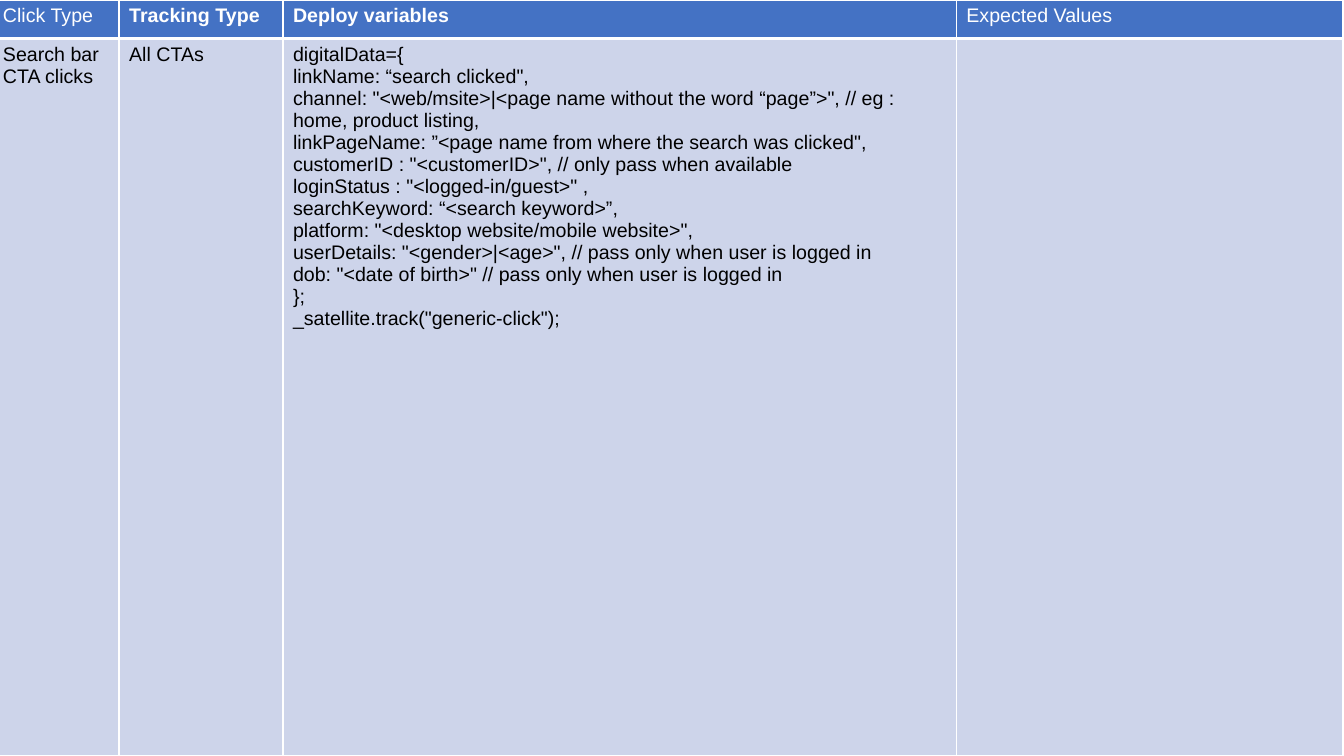
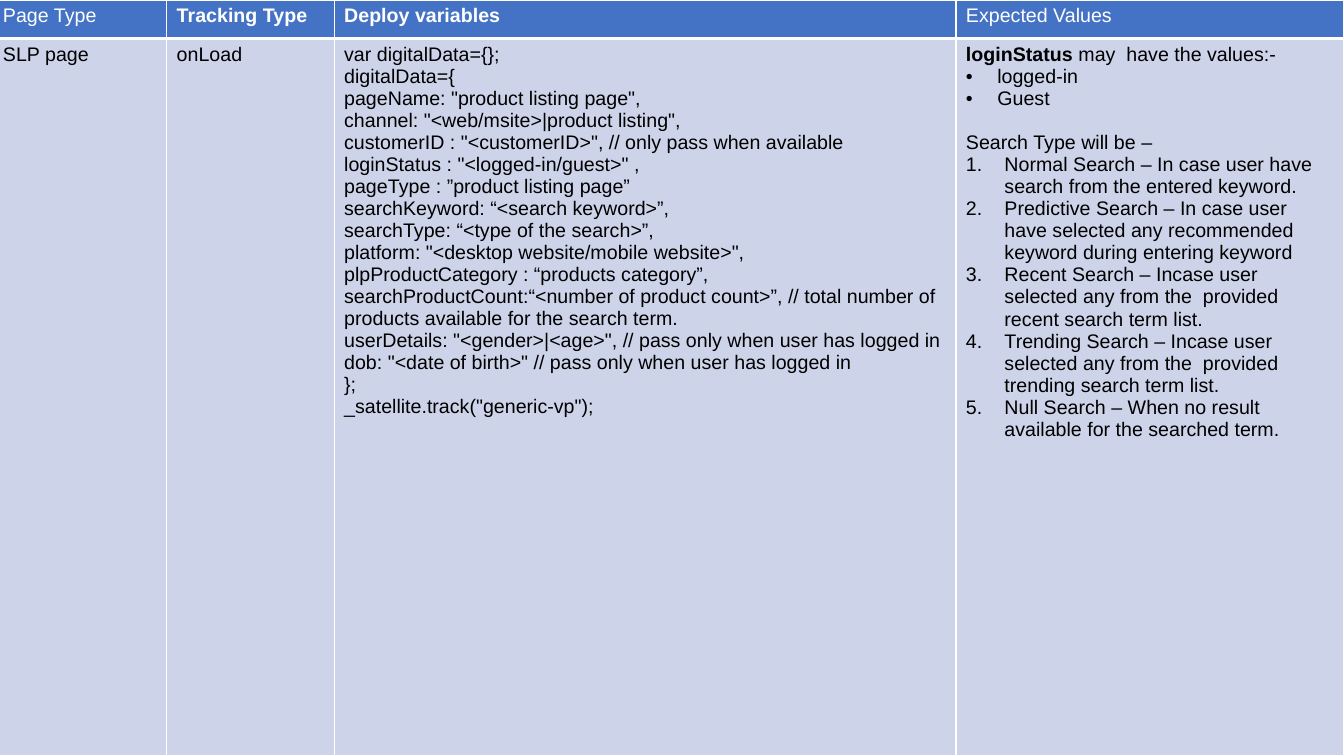
from lxml import etree
from pptx import Presentation
from pptx.dml.color import RGBColor
from pptx.oxml.ns import qn
from pptx.util import Cm, Pt

FONT = "Arial"
TEXT_SIZE = Pt(14)
WHITE, BLACK = "FFFFFF", "000000"
HEADER_BLUE, BODY_BLUE = "4472C4", "CDD4EA"
THIN, THICK = Pt(1), Pt(3)
HEADER_HEIGHT = Cm(0.97)
BLANK_LAYOUT = 6
PLAIN, BULLET, NUMBER, SECTION = "plain", "bullet", "number", "section"
MARKERS = {
    BULLET: (Cm(0.79), "a:buChar", {"char": "•"}),
    NUMBER: (Cm(0.97), "a:buAutoNum", {"type": "arabicPeriod"}),
}

SEARCH_CLICK_CODE = """digitalData={
linkName: “search clicked",
channel: "<web/msite>|<page name without the word “page”>", // eg : home, product listing,
linkPageName: ”<page name from where the search was clicked",
customerID : "<customerID>", // only pass when available
loginStatus : "<logged-in/guest>" ,
searchKeyword: “<search keyword>”,
platform: "<desktop website/mobile website>",
userDetails: "<gender>|<age>", // pass only when user is logged in
dob: "<date of birth>" // pass only when user is logged in
};
_satellite.track("generic-click");"""

LISTING_PAGE_CODE = """var digitalData={};
digitalData={
pageName: "product listing page",
channel: "<web/msite>|product listing",
customerID : "<customerID>", // only pass when available
loginStatus : "<logged-in/guest>" ,
pageType : ”product listing page”
searchKeyword: “<search keyword>”,
searchType: “<type of the search>”,
platform: "<desktop website/mobile website>",
plpProductCategory : “products category”,
searchProductCount:“<number of product count>”, // total number of products available for the search term.
userDetails: "<gender>|<age>", // pass only when user has logged in
dob: "<date of birth>" // pass only when user has logged in
};
_satellite.track("generic-vp");"""

EXPECTED_VALUES = [
    (PLAIN, "loginStatus ", "may  have the values:-"),
    (BULLET, "", "logged-in"),
    (BULLET, "", "Guest"),
    (SECTION, "", "Search Type will be –"),
    (NUMBER, "", "Normal Search – In case user have search from the entered keyword."),
    (NUMBER, "", "Predictive Search – In case user have selected any recommended "
                 "keyword during entering keyword"),
    (NUMBER, "", "Recent Search – Incase user selected any from the  provided "
                 "recent search term list."),
    (NUMBER, "", "Trending Search – Incase user selected any from the  provided "
                 "trending search term list."),
    (NUMBER, "", "Null Search – When no result available for the searched term."),
]


def rgb(hex_colour):
    return RGBColor.from_string(hex_colour)


def plain_lines(text):
    return [(PLAIN, "", line) for line in text.splitlines()]


def add_marker(paragraph, kind):
    indent, tag, attributes = MARKERS[kind]
    properties = paragraph._p.get_or_add_pPr()
    properties.set("marL", str(int(indent)))
    properties.set("indent", str(-int(indent)))
    colour = etree.SubElement(properties, qn("a:buClr"))
    etree.SubElement(colour, qn("a:srgbClr"), val=BLACK)
    etree.SubElement(properties, qn("a:buFont"), typeface=FONT)
    etree.SubElement(properties, qn(tag), attributes)


def set_borders(cell, top, bottom):
    properties = cell._tc.get_or_add_tcPr()
    for side, width in (("L", THIN), ("R", THIN), ("T", top), ("B", bottom)):
        line = etree.SubElement(properties, qn(f"a:ln{side}"), w=str(int(width)))
        fill = etree.SubElement(line, qn("a:solidFill"))
        etree.SubElement(fill, qn("a:srgbClr"), val=WHITE)


def fill_cell(cell, lines, background, text_colour, bold=False):
    cell.fill.solid()
    cell.fill.fore_color.rgb = rgb(background)
    frame = cell.text_frame
    for index, (kind, lead, text) in enumerate(lines):
        paragraph = frame.add_paragraph() if index else frame.paragraphs[0]
        if kind == SECTION:
            paragraph.space_before = Pt(16)
        if kind in MARKERS:
            add_marker(paragraph, kind)
        font = paragraph.font
        font.name, font.size, font.bold = FONT, TEXT_SIZE, bold
        font.color.rgb = rgb(text_colour)
        if lead:
            lead_run = paragraph.add_run()
            lead_run.text = lead
            lead_run.font.bold = True
        paragraph.add_run().text = text


def add_tracking_table(slide, box, widths, subject, body):
    headings = [(subject, False), ("Tracking Type", True),
                ("Deploy variables", True), ("Expected Values", False)]
    table = slide.shapes.add_table(2, len(headings), *box).table
    table.first_row = table.horz_banding = False
    table.rows[0].height = HEADER_HEIGHT
    table.rows[1].height = box[3] - HEADER_HEIGHT
    for column, (width, (heading, bold), lines) in enumerate(zip(widths, headings, body)):
        table.columns[column].width = Cm(width)
        header_cell, body_cell = table.cell(0, column), table.cell(1, column)
        set_borders(header_cell, THIN, THICK)
        set_borders(body_cell, THICK, THIN)
        fill_cell(header_cell, plain_lines(heading), HEADER_BLUE, WHITE, bold)
        fill_cell(body_cell, lines, BODY_BLUE, BLACK)


def add_tracking_slide(deck, widths, subject, body):
    slide = deck.slides.add_slide(deck.slide_layouts[BLANK_LAYOUT])
    box = (Cm(-0.18), Cm(0), Cm(sum(widths)), deck.slide_height)
    add_tracking_table(slide, box, widths, subject, body)


def main():
    deck = Presentation()
    deck.slide_width, deck.slide_height = Cm(33.87), Cm(19.05)
    add_tracking_slide(
        deck, (3.18, 4.13, 16.97, 9.73), "Click Type",
        [plain_lines("Search bar CTA clicks"), plain_lines("All CTAs"),
         plain_lines(SEARCH_CLICK_CODE), []])
    add_tracking_slide(
        deck, (4.38, 4.22, 15.67, 9.78), "Page Type",
        [plain_lines("SLP page"), plain_lines("onLoad"),
         plain_lines(LISTING_PAGE_CODE), EXPECTED_VALUES])
    deck.save("out.pptx")


if __name__ == "__main__":
    main()
